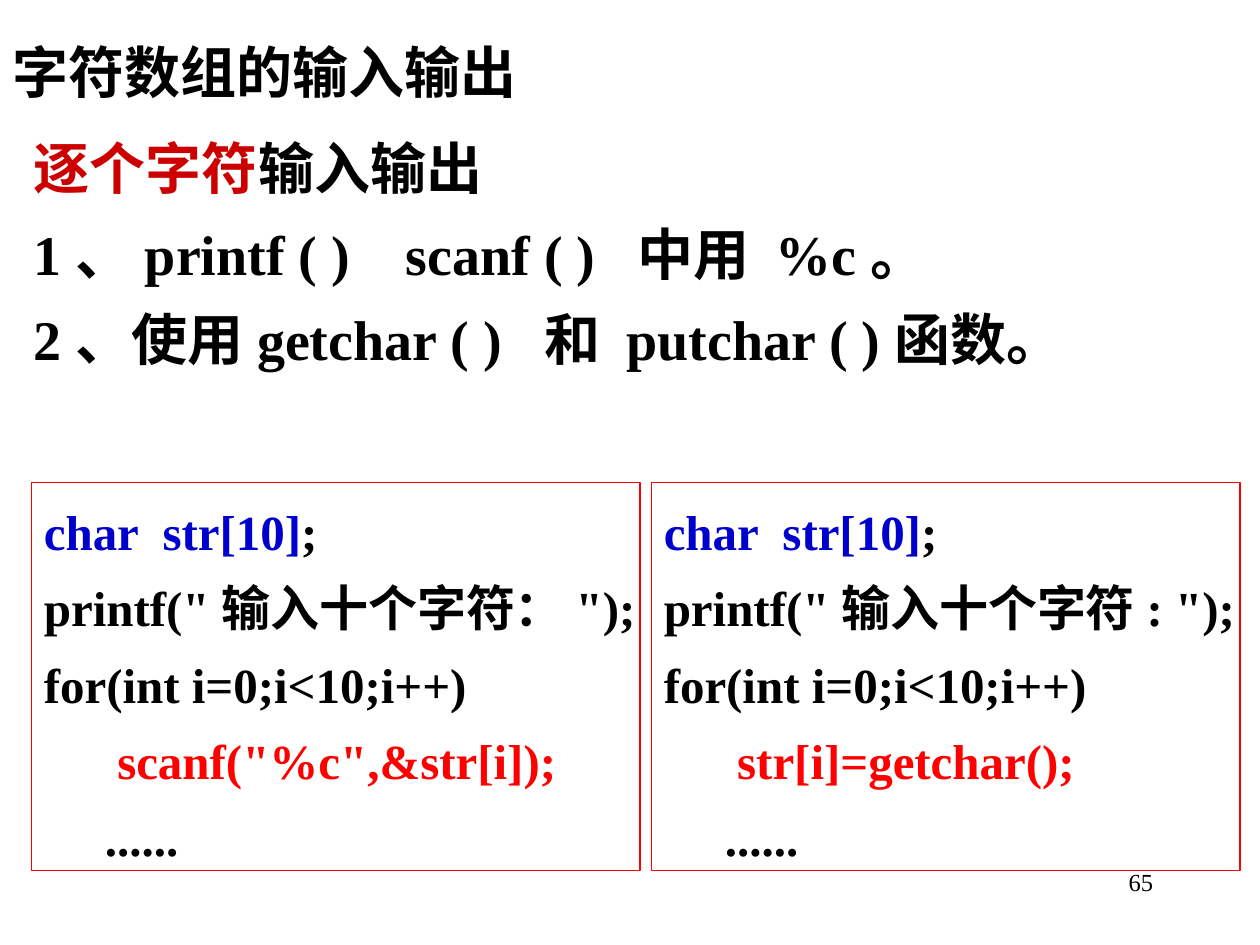
from lxml import etree
from pptx import Presentation
from pptx.dml.color import RGBColor
from pptx.enum.shapes import MSO_SHAPE
from pptx.enum.text import MSO_ANCHOR, PP_ALIGN
from pptx.oxml.ns import qn
from pptx.util import Inches, Pt

RECTANGLE = MSO_SHAPE.RECTANGLE
TOP = MSO_ANCHOR.TOP
LEFT, RIGHT, JUSTIFY = PP_ALIGN.LEFT, PP_ALIGN.RIGHT, PP_ALIGN.JUSTIFY
SERIF, SANS = "Times New Roman", "Noto Sans CJK SC"
BLACK, RED, DARK_RED, BLUE = "000000", "FF0000", "CC0000", "0000CC"


def color(value):
    return RGBColor.from_string(value)


def write(shape, lines, margins, paragraph_format, font_format, tab_stops=()):
    frame = shape.text_frame
    frame_format = {"word_wrap": True, "vertical_anchor": TOP}
    sides = ("margin_left", "margin_top", "margin_right", "margin_bottom")
    frame_format.update(zip(sides, map(Inches, margins)))
    for name, value in frame_format.items():
        setattr(frame, name, value)
    for index, line in enumerate(lines):
        paragraph = frame.paragraphs[0] if index == 0 else frame.add_paragraph()
        for name, value in paragraph_format.items():
            if index or name != "space_before":
                setattr(paragraph, name, value)
        if "\t" in line[0][0]:
            properties = paragraph._p.get_or_add_pPr()
            tab_list = etree.SubElement(properties, qn("a:tabLst"))
            for position in tab_stops[index]:
                etree.SubElement(tab_list, qn("a:tab"), pos=str(Inches(position)), algn="l")
        for text, text_color in line:
            run = paragraph.add_run()
            run.text = text
            for name, value in font_format.items():
                setattr(run.font, name, value)
            run.font.color.rgb = color(text_color)
            etree.SubElement(run._r.get_or_add_rPr(), qn("a:ea"), typeface=SANS)


presentation = Presentation()
presentation.slide_width = Inches(10)
presentation.slide_height = Inches(7.5)
slide = presentation.slides.add_slide(presentation.slide_layouts[6])

page_number = slide.shapes.add_textbox(Inches(7.17), Inches(6.83), Inches(2.08), Inches(0.5))
write(page_number, [[("65", BLACK)]], (0.1, 0.05, 0.1, 0.05),
      {"alignment": RIGHT}, {"name": SERIF, "size": Pt(14)})

methods = slide.shapes.add_textbox(Inches(0.25), Inches(1), Inches(8.3), Inches(2))
method_lines = [
    [("逐个字符", DARK_RED), ("输入输出", BLACK)],
    [("1、printf ( )\tscanf ( )\t中用 %c。", BLACK)],
    [("2、使用getchar ( )\t和 putchar ( )函数。", BLACK)],
]
write(methods, method_lines, (0.02, 0.01, 0.02, 0.01),
      {"alignment": LEFT, "line_spacing": 1.1, "space_before": Pt(6.4)},
      {"name": SERIF, "size": Pt(32), "bold": True},
      {1: (2.95, 4.79), 2: (4.05,)})

title = slide.shapes.add_textbox(Inches(0), Inches(0.25), Inches(4.5), Inches(0.63))
write(title, [[("字符数组的输入输出", BLACK)]], (0.1, 0.05, 0.1, 0.05),
      {"alignment": LEFT}, {"name": SANS, "size": Pt(32), "bold": True})

code_boxes = [
    (0.25, 4.83, "输入十个字符：", 'scanf("%c",&str[i]);'),
    (5.17, 4.67, "输入十个字符: ", "str[i]=getchar();"),
]
for left, width, prompt, read_call in code_boxes:
    code_box = slide.shapes.add_shape(
        RECTANGLE, Inches(left), Inches(3.83), Inches(width), Inches(3.08))
    code_box.shadow.inherit = False
    code_box.fill.background()
    code_box.line.color.rgb = color(RED)
    code_box.line.width = Pt(1)
    code_lines = [
        [("char  str[10]", BLUE), (";", BLACK)],
        [(f'printf("{prompt}");', BLACK)],
        [("for(int i=0;i<10;i++)", BLACK)],
        [("      ", BLACK), (read_call, RED)],
        [("     ......", BLACK)],
    ]
    write(code_box, code_lines, (0.1, 0.01, 0.02, 0.01),
          {"alignment": JUSTIFY, "line_spacing": 1.3},
          {"name": SERIF, "size": Pt(28), "bold": True})

presentation.save("out.pptx")
